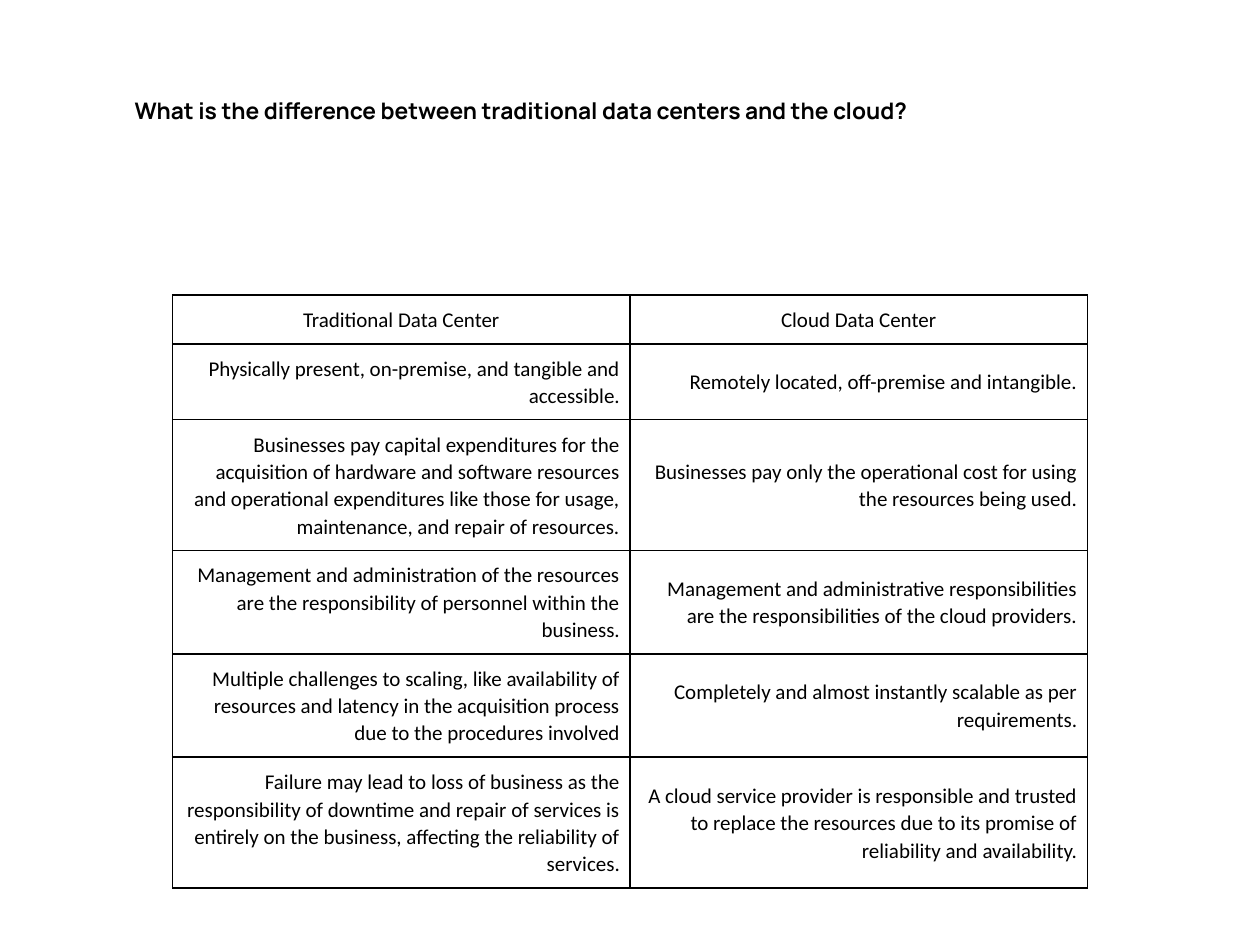
import pptx
import pptx.util
import pptx.dml.color
import pptx.enum.text
import pptx.oxml
import pptx.oxml.ns
import lxml.etree

Inches = pptx.util.Inches
Pt = pptx.util.Pt
ALIGN = pptx.enum.text.PP_ALIGN
MIDDLE = pptx.enum.text.MSO_ANCHOR.MIDDLE
BLACK = pptx.dml.color.RGBColor(0, 0, 0)

TITLE = "What is the difference between traditional data centers and the cloud?"
HEIGHTS = [0.39, 0.6, 1.04, 0.82, 0.82, 1.04]
ROWS = [
    ("Traditional Data Center", "Cloud Data Center"),
    ("Physically present, on-premise, and tangible and accessible.",
     "Remotely located, off-premise and intangible."),
    ("Businesses pay capital expenditures for the acquisition of hardware and software "
     "resources and operational expenditures like those for usage, maintenance, and "
     "repair of resources.",
     "Businesses pay only the operational cost for using the resources being used."),
    ("Management and administration of the resources are the responsibility of personnel "
     "within the business.",
     "Management and administrative responsibilities are the responsibilities of the "
     "cloud providers."),
    ("Multiple challenges to scaling, like availability of resources and latency in the "
     "acquisition process due to the procedures involved",
     "Completely and almost instantly scalable as per requirements."),
    ("Failure may lead to loss of business as the responsibility of downtime and repair "
     "of services is entirely on the business, affecting the reliability of services.",
     "A cloud service provider is responsible and trusted to replace the resources due "
     "to its promise of reliability and availability."),
]


class Page:
    def __init__(self, slide, color):
        self.slide = slide
        self.color = color

    def text(self, para, text, face, size, bold=False):
        run = para.add_run()
        run.text = text
        run.font.name = face
        run.font.size = Pt(size)
        run.font.bold = bold
        run.font.color.rgb = self.color

    def title(self, text, left, top, width, height):
        box = self.slide.shapes.add_textbox(
            Inches(left), Inches(top), Inches(width), Inches(height))
        frame = box.text_frame
        frame.word_wrap = True
        frame.vertical_anchor = MIDDLE
        frame.auto_size = pptx.enum.text.MSO_AUTO_SIZE.SHAPE_TO_FIT_TEXT
        self.text(frame.paragraphs[0], text, "Manrope", 13, True)

    def border(self, cell):
        props = cell._tc.get_or_add_tcPr()
        for spot, side in enumerate(("lnL", "lnR", "lnT", "lnB")):
            line = lxml.etree.Element(pptx.oxml.ns.qn("a:" + side), w=str(Pt(1)))
            fill = lxml.etree.SubElement(line, pptx.oxml.ns.qn("a:solidFill"))
            lxml.etree.SubElement(
                fill, pptx.oxml.ns.qn("a:srgbClr"), val=str(self.color))
            props.insert(spot, line)

    def cell(self, cell, text, align):
        cell.fill.background()
        cell.vertical_anchor = MIDDLE
        cell.margin_left = cell.margin_right = Inches(0.08)
        cell.margin_top = cell.margin_bottom = Inches(0.08)
        para = cell.text_frame.paragraphs[0]
        para.alignment = align
        para.line_spacing = 1.07
        para.space_after = Pt(18)
        self.text(para, text, "Calibri", 12)
        self.border(cell)

    def table(self, rows, heights, left, top, width):
        frame = self.slide.shapes.add_table(
            len(rows), len(rows[0]), Inches(left), Inches(top),
            Inches(width), Inches(sum(heights)))
        table = frame.table
        table.first_row = False
        table.horz_banding = False
        for r, (texts, height) in enumerate(zip(rows, heights)):
            table.rows[r].height = Inches(height)
            align = ALIGN.RIGHT if r else ALIGN.CENTER
            for c, text in enumerate(texts):
                self.cell(table.cell(r, c), text, align)


def main():
    deck = pptx.Presentation()
    deck.slide_width = Inches(10)
    deck.slide_height = Inches(7.5)
    page = Page(deck.slides.add_slide(deck.slide_layouts[6]), BLACK)
    page.table(ROWS, HEIGHTS, 1.37, 2.34, 7.26)
    page.title(TITLE, 0.97, 0.72, 7.66, 0.32)
    deck.save("out.pptx")


if __name__ == "__main__":
    main()
